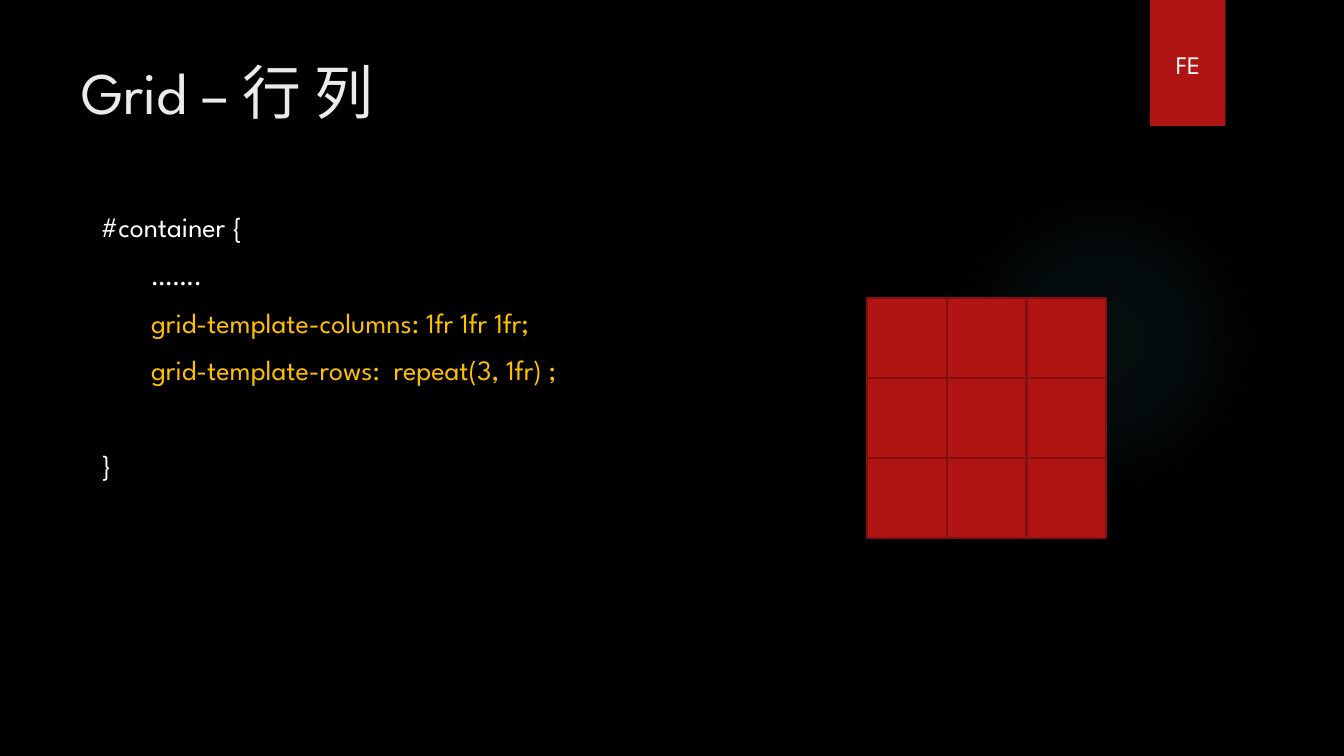
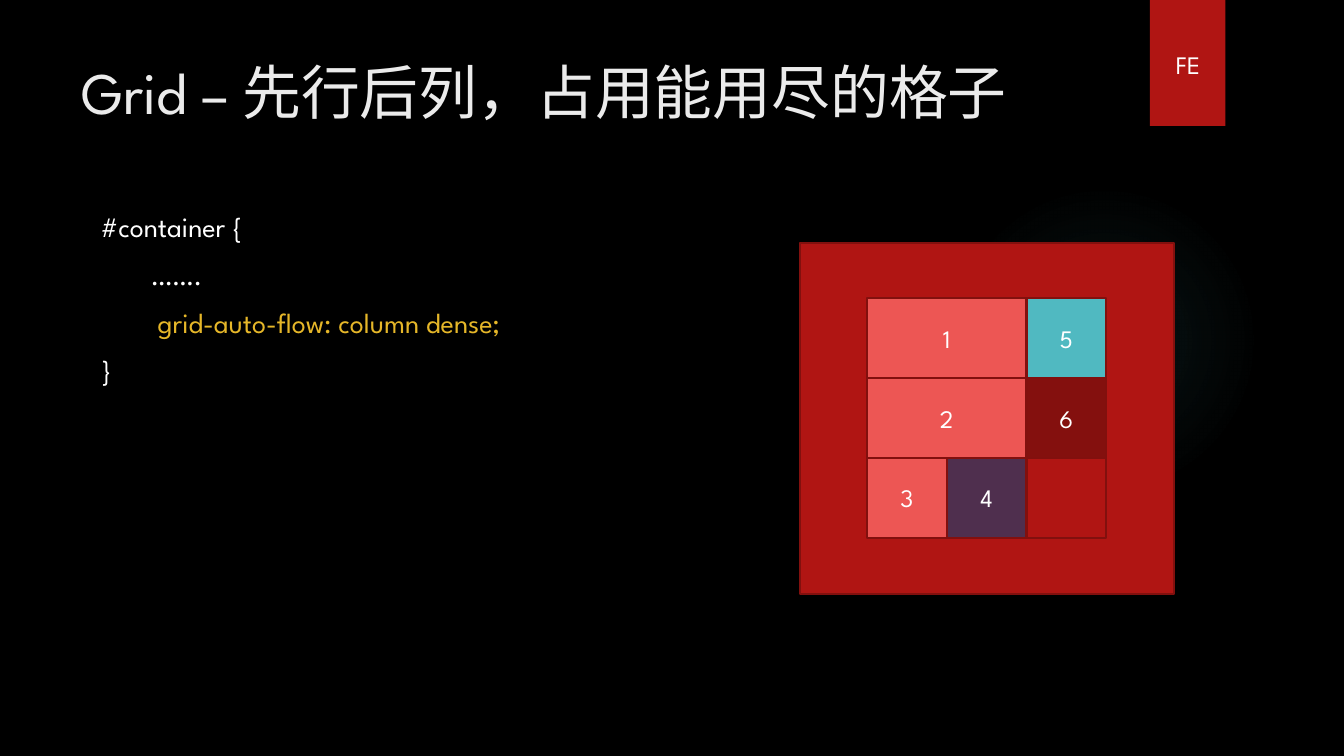
from lxml.etree import SubElement as Sub
from pptx import Presentation
from pptx.dml.color import RGBColor as RGB
from pptx.enum.shapes import MSO_SHAPE as Kind
from pptx.enum.text import MSO_ANCHOR as Anchor, PP_ALIGN as Align
from pptx.oxml import parse_xml
from pptx.oxml.ns import nsdecls
from pptx.util import Inches, Pt

FONT = "League Spartan"
BLACK = RGB(0, 0, 0)
WHITE = RGB(255, 255, 255)
PALE = RGB(0xEB, 0xEB, 0xEB)
RED = RGB(0xB0, 0x15, 0x13)
EDGE = RGB(0x82, 0x10, 0x0E)
DARK = RGB(0x84, 0x10, 0x0E)
CORAL = RGB(0xED, 0x56, 0x54)
PLUM = RGB(0x4F, 0x2F, 0x4E)
TEAL = RGB(0x50, 0xB9, 0xC1)
AMBER = RGB(0xFF, 0xC0, 0x00)
GOLD = RGB(0xE6, 0xB7, 0x29)

deck = Presentation()
deck.slide_width, deck.slide_height = Inches(13.333), Inches(7.5)
COL, ROW = deck.slide_width / 160, deck.slide_height / 90
LEFT, TOP, CELL = 103.2, 35.5, 9.5


def write(frame, text, size=18, color=WHITE, align=Align.LEFT, indent=0, gap=0):
    para = frame.paragraphs[0]
    if para.runs:
        para = frame.add_paragraph()
    para.alignment = align
    para.space_before = Pt(gap)
    para._p.get_or_add_pPr().set("marL", str(int(indent * COL)))
    run = para.add_run()
    run.text = text
    run.font.name, run.font.size = FONT, Pt(size)
    run.font.color.rgb = color


def place(slide, x, y, w, h, kind=None, fill=None, line=None):
    spot = [round(n) for n in (x * COL, y * ROW, w * COL, h * ROW)]
    if kind is None:
        box = slide.shapes.add_textbox(*spot)
        box.text_frame.word_wrap = True
        return box
    box = slide.shapes.add_shape(kind, *spot)
    box.shadow.inherit = False
    box.text_frame.vertical_anchor = Anchor.MIDDLE
    if fill is None:
        box.fill.background()
    else:
        box.fill.solid()
        box.fill.fore_color.rgb = fill
    if line is None:
        box.line.fill.background()
    else:
        box.line.color.rgb, box.line.width = line, Pt(1.5)
    return box


pages = [
    ("Grid – 行 列",
     [("#container {", WHITE, 0, 10),
      ("…….", WHITE, 6, 10),
      ("grid-template-columns:\u00a01fr\u00a01fr\u00a01fr;", AMBER, 6, 10),
      ("grid-template-rows:\u00a0 repeat(3,\u00a01fr) ;", AMBER, 6, 10),
      ("}", WHITE, 0, 44)],
     None,
     [(c, r, 1, RED, "") for r in range(3) for c in range(3)]),
    ("Grid – 先行后列，占用能用尽的格子",
     [("#container {", WHITE, 0, 10),
      ("…….", WHITE, 6, 10),
      ("grid-auto-flow: column dense;", GOLD, 6.8, 10),
      ("}", WHITE, 0, 10)],
     (95.2, 28.9, 44.6, 41.8),
     [(0, 0, 2, CORAL, "1"), (0, 1, 2, CORAL, "2"),
      (0, 2, 1, CORAL, "3"), (1, 2, 1, PLUM, "4"),
      (2, 0, 1, TEAL, "5"), (2, 1, 1, DARK, "6"),
      (2, 2, 1, None, "")]),
]

for title, code, panel, tiles in pages:
    slide = deck.slides.add_slide(deck.slide_layouts[6])
    slide.background.fill.solid()
    slide.background.fill.fore_color.rgb = BLACK

    glow = place(slide, 112.9, 22, 37, 37, Kind.OVAL, TEAL)
    grad = parse_xml(f'<a:gradFill {nsdecls("a")}><a:gsLst/><a:path path="circle">'
                     '<a:fillToRect l="50000" t="50000" r="50000" b="50000"/>'
                     '</a:path></a:gradFill>')
    tag = grad.tag.replace("gradFill", "")
    for stop, alpha in ((0, 7), (36, 6), (69, 0)):
        mark = Sub(grad[0], tag + "gs", pos=str(stop * 1000))
        tint = Sub(mark, tag + "srgbClr", val=str(TEAL))
        Sub(tint, tag + "alpha", val=str(alpha * 1000))
    solid = glow._element.spPr.find(tag + "solidFill")
    solid.getparent().replace(solid, grad)

    place(slide, 136.9, 0, 9, 15, Kind.RECTANGLE, RED)
    head = place(slide, 8.5, 6, 123.5, 18.4)
    write(head.text_frame, title, size=42, color=PALE)
    body = place(slide, 10.8, 24.4, 73.6, 55)
    for text, color, indent, gap in code:
        write(body.text_frame, text, size=20, color=color, indent=indent, gap=gap)
    badge = place(slide, 138.7, 5.3, 5.5, 4.8)
    badge.text_frame.word_wrap = False
    write(badge.text_frame, "FE", align=Align.CENTER)

    if panel:
        place(slide, *panel, Kind.RECTANGLE, RED, EDGE)
    for c, r, span, fill, label in tiles:
        tile = place(slide, LEFT + c * CELL, TOP + r * CELL, span * CELL, CELL,
                     Kind.RECTANGLE, fill, EDGE)
        if label:
            write(tile.text_frame, label, align=Align.CENTER)

deck.save("out.pptx")
